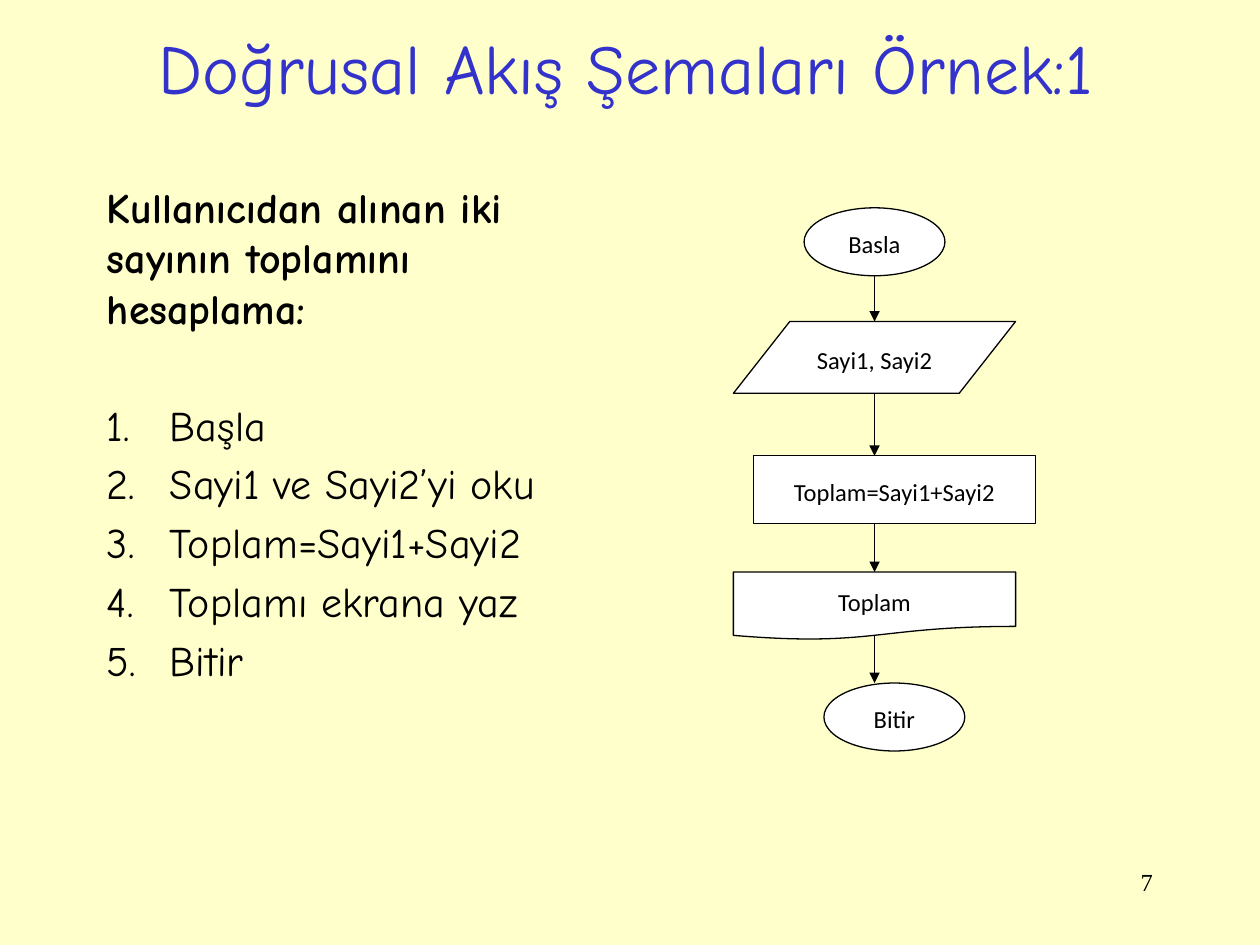
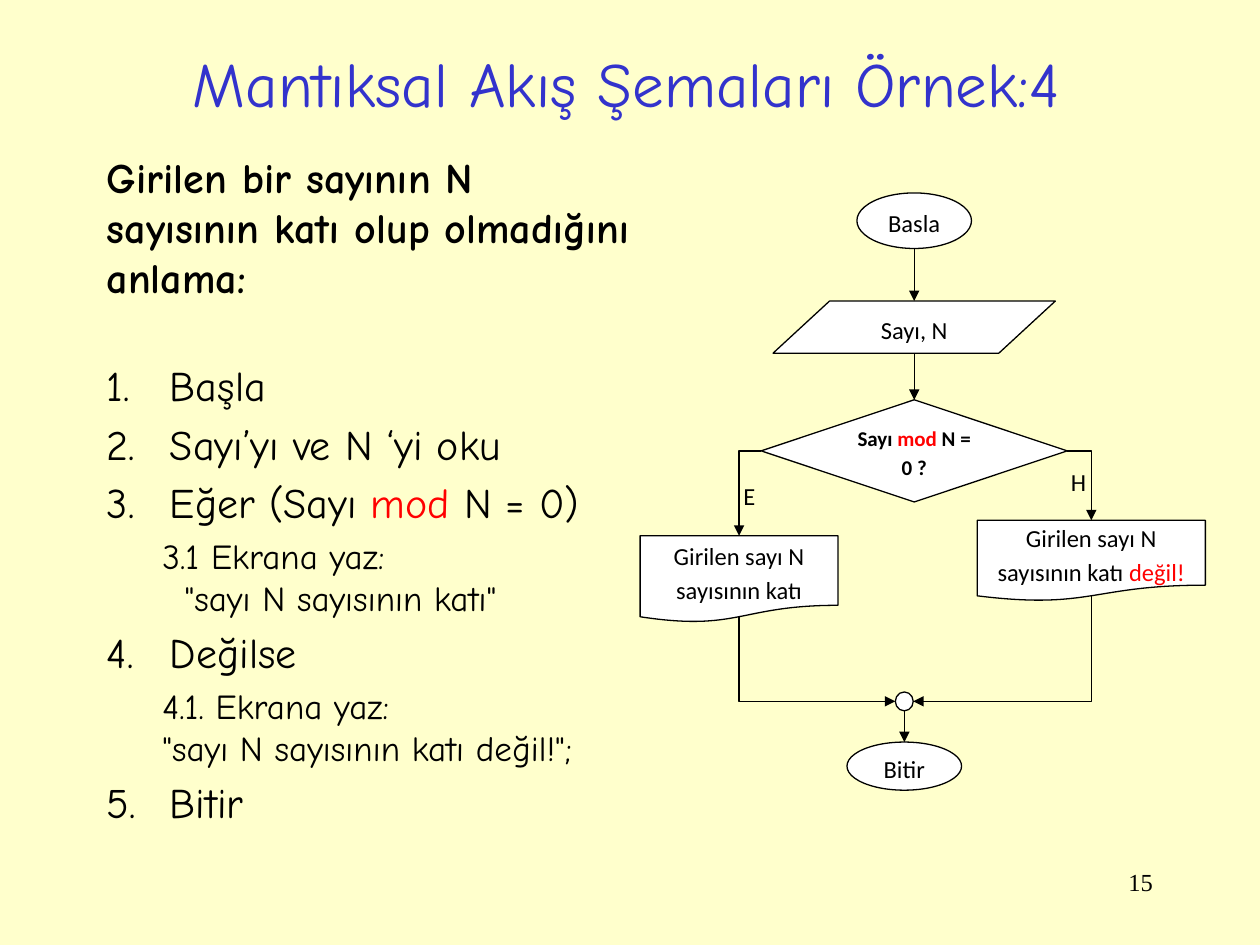
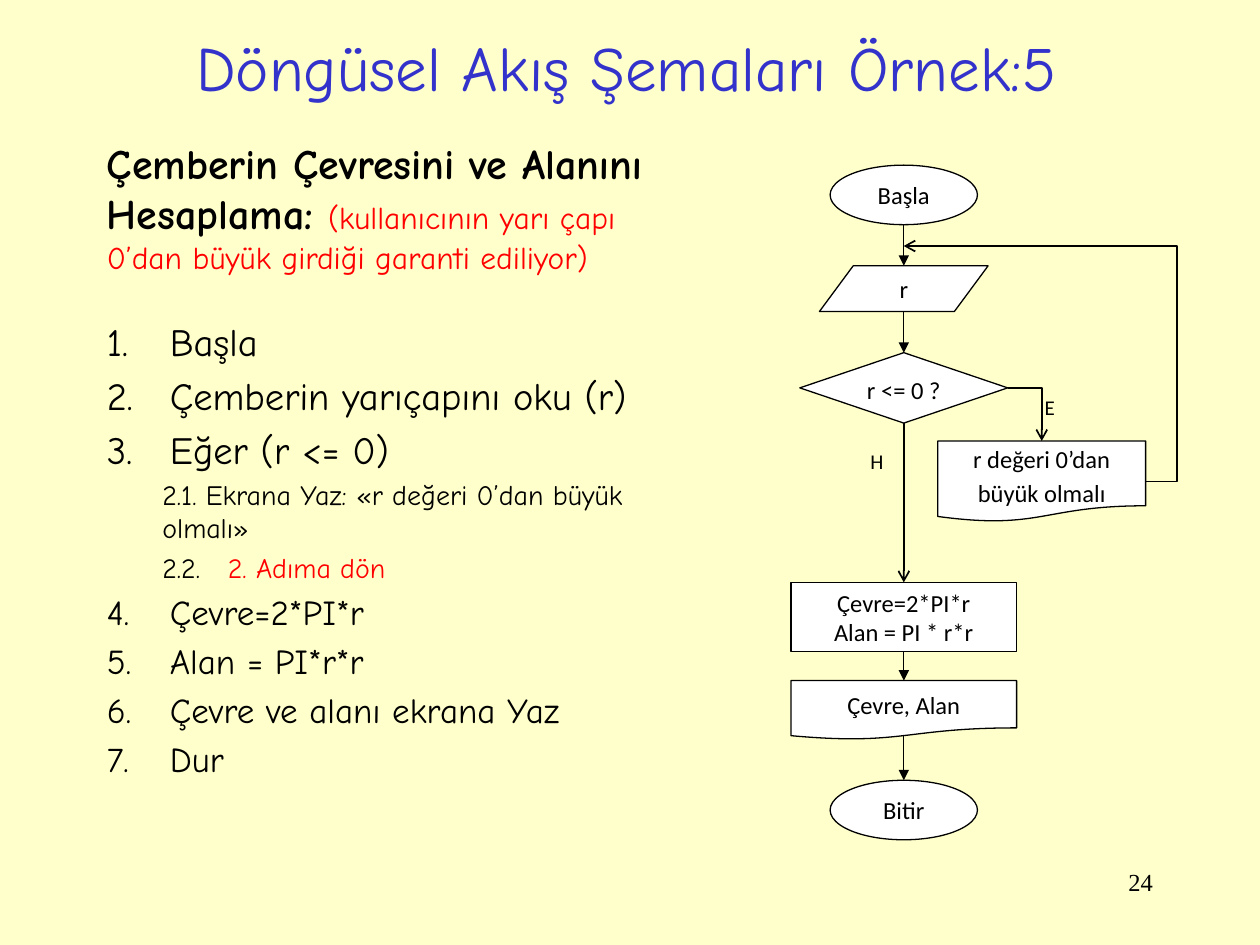
from lxml import etree
from pptx import Presentation
from pptx.dml.color import RGBColor
from pptx.enum.shapes import MSO_CONNECTOR, MSO_SHAPE
from pptx.enum.text import MSO_ANCHOR, MSO_AUTO_SIZE, PP_ALIGN
from pptx.oxml.ns import qn
from pptx.util import Cm, Pt

COLORS = {"paper": "FFFFCC", "title": "3333CC", "ink": "000000",
          "accent": "FF0000", "node": "FFFFFF"}
HAND, PLAIN, SERIF = "Comic Neue", "Calibri", "Times New Roman"

START_END = MSO_SHAPE.FLOWCHART_CONNECTOR
INPUT = MSO_SHAPE.FLOWCHART_DATA
PROCESS = MSO_SHAPE.FLOWCHART_PROCESS
DECISION = MSO_SHAPE.FLOWCHART_DECISION
OUTPUT = MSO_SHAPE.FLOWCHART_DOCUMENT
JOIN = MSO_SHAPE.OVAL
WAVE = Cm(0.1)  # how far a document's wavy edge rises at its middle

# left margin and first-line indent of each kind of list line, in cm
INDENTS = {"head": (0, 0), "step": (1.27, -1.27), "sub": (1.12, 0),
           "more": (1.12, 0), "quote": (1.57, 0), "tabbed": (2.44, -1.32)}


def rgb(name):
    return RGBColor.from_string(COLORS[name])


def write(p, text, size=14, font=PLAIN, color="ink", bold=False, align=None):
    """Append text to a paragraph; words in [brackets] take the accent colour."""
    if align is not None:
        p.alignment = align
    for i, part in enumerate(text.replace("]", "[").split("[")):
        if part:
            r = p.add_run()
            r.text = part
            r.font.size, r.font.name, r.font.bold = Pt(size), font, bold
            r.font.color.rgb = rgb("accent" if i % 2 else color)


def place(sp, box):
    sp.left, sp.top, sp.width, sp.height = (Cm(v) for v in box)


def add_title(slide, text, height=1.93, size=36):
    sp = slide.shapes.title
    place(sp, (1.83, 0.38, 21.59, height))
    tf = sp.text_frame
    tf.auto_size, tf.vertical_anchor = MSO_AUTO_SIZE.NONE, MSO_ANCHOR.MIDDLE
    write(tf.paragraphs[0], text, size, HAND, "title", align=PP_ALIGN.CENTER)


def set_list_style(p, kind):
    margin, indent = INDENTS[kind]
    p.level = 0 if kind in ("head", "step") else 1
    pPr = p._p.get_or_add_pPr()
    pPr.set("marL", str(Cm(margin)))
    pPr.set("indent", str(Cm(indent)))
    if kind == "step":
        etree.SubElement(pPr, qn("a:buFont"), typeface="+mj-lt")
        etree.SubElement(pPr, qn("a:buAutoNum"), type="arabicPeriod")
    else:
        etree.SubElement(pPr, qn("a:buNone"))


def add_algorithm(slide, box, heading, gap, steps, note=""):
    """Heading, then a gap in points, then (kind, size, text) lines."""
    sp = slide.placeholders[1]
    place(sp, box)
    tf = sp.text_frame
    tf.auto_size = MSO_AUTO_SIZE.NONE
    p = tf.paragraphs[0]
    set_list_style(p, "head")
    p.space_before = Pt(0)
    write(p, heading, 24, HAND, bold=True)
    write(p, note, 18, HAND, "accent")
    for i, (kind, size, text) in enumerate(steps):
        p = tf.add_paragraph()
        set_list_style(p, kind)
        if i == 0:
            p.space_before = Pt(gap)
        elif kind in ("more", "quote"):
            p.space_before = Pt(0)
        write(p, text, size, HAND)


def add_page_number(slide, number):
    sp = slide.shapes.add_textbox(Cm(18.21), Cm(17.35), Cm(5.28), Cm(1.27))
    sp.text_frame.word_wrap = True
    write(sp.text_frame.paragraphs[0], str(number), 14, SERIF,
          align=PP_ALIGN.RIGHT)


def fill_centred(tf, text, loose, **fmt):
    """Centre the lines of text; loose adds line spacing and space below."""
    tf.word_wrap, tf.vertical_anchor = True, MSO_ANCHOR.MIDDLE
    for i, line in enumerate(text.split("\n")):
        p = tf.add_paragraph() if i else tf.paragraphs[0]
        if loose:
            p.line_spacing = 1.15
        write(p, line, align=PP_ALIGN.CENTER, **fmt)
    if loose:
        p.space_after = Pt(10)


def mid_x(sp):
    return sp.left + sp.width // 2


def exit_of(sp):
    lift = WAVE if sp.auto_shape_type == OUTPUT else 0
    return mid_x(sp), sp.top + sp.height - lift


def side_of(sp, right):
    return sp.left + (sp.width if right else 0), sp.top + sp.height // 2


class Flow:
    """A flowchart whose parts are placed from the given left and top."""

    def __init__(self, slide, left, top, loose=True):
        self.shapes, self.left, self.top = slide.shapes, left, top
        self.loose = loose

    def spot(self, x, y):
        return Cm(self.left + x), Cm(self.top + y)

    def node(self, kind, cx, y, extent, text="", loose=None, **fmt):
        w, h = extent
        sp = self.shapes.add_shape(kind, *self.spot(cx - w / 2, y), Cm(w), Cm(h))
        sp.shadow.inherit = False
        sp.fill.solid()
        sp.fill.fore_color.rgb = rgb("node")
        sp.line.color.rgb = rgb("ink")
        sp.line.width = Pt(0.75)
        if text:
            fill_centred(sp.text_frame, text,
                         self.loose if loose is None else loose, **fmt)
        return sp

    def label(self, cx, y, text, size=14):
        w, h = 1.68, 0.94
        sp = self.shapes.add_textbox(*self.spot(cx - w / 2, y), Cm(w), Cm(h))
        fill_centred(sp.text_frame, text, True, size=size)

    def link(self, begin, end, preset="line", tip="tailEnd", head="triangle",
             width=0.75, bend=None):
        kind = MSO_CONNECTOR.STRAIGHT if preset == "line" else MSO_CONNECTOR.ELBOW
        c = self.shapes.add_connector(kind, *begin, *end)
        c.line.color.rgb = rgb("ink")
        c.line.width = Pt(width)
        spPr = c._element.spPr
        geom = spPr.find(qn("a:prstGeom"))
        geom.set("prst", preset)
        if bend is not None:
            guides = geom.get_or_add_avLst()
            etree.SubElement(guides, qn("a:gd"), name="adj1",
                             fmla=f"val {round(bend * 100000)}")
        etree.SubElement(spPr.find(qn("a:ln")), qn("a:" + tip), type=head)
        etree.SubElement(spPr, qn("a:effectLst"))

    def drop(self, upper, lower, cx=None, **style):
        """Arrow straight down from one node to the next."""
        x = mid_x(upper) if cx is None else Cm(self.left + cx)
        self.link((x, exit_of(upper)[1]), (x, lower.top), **style)

    def branch(self, begin, lower, **style):
        """Arrow sideways from a point, then down into a node."""
        self.link(begin, (mid_x(lower), lower.top), "bentConnector2", **style)

    def merge(self, upper, end):
        """Arrow down from a node, then sideways to a point."""
        self.link(end, exit_of(upper), "bentConnector2", tip="headEnd")


def draw_sum_flow(slide, left, top):
    flow = Flow(slide, left, top)
    axis, shifted = 2.85, 3.25
    oval, wide = (2.84, 1.37), (5.69, 1.37)
    nodes = [flow.node(START_END, axis, 0, oval, "Basla"),
             flow.node(INPUT, axis, 2.29, (5.69, 1.45), "Sayi1, Sayi2"),
             flow.node(PROCESS, shifted, 5, wide, "Toplam=Sayi1+Sayi2"),
             flow.node(OUTPUT, axis, 7.34, wide, "Toplam"),
             flow.node(START_END, shifted, 9.58, oval, "Bitir")]
    for upper, lower in zip(nodes, nodes[1:]):
        flow.drop(upper, lower, axis)


def draw_multiple_flow(slide, left, top):
    flow = Flow(slide, left, top)
    axis, join_axis = 5.53, 5.33
    start = flow.node(START_END, axis, 0, (2.31, 1.12), "Basla")
    read = flow.node(INPUT, axis, 2.18, (5.69, 1.05), "Sayı, N")
    test = flow.node(DECISION, axis, 4.17, (6.17, 2.06),
                     "Sayı [mod] N =\n0 ?", size=12, bold=True)
    yes = flow.node(OUTPUT, 2, 6.91, (3.99, 1.75),
                    "Girilen sayı N sayısının katı")
    no = flow.node(OUTPUT, 9.1, 6.6, (4.6, 1.63),
                   "Girilen sayı N sayısının katı [değil!]")
    join = flow.node(JOIN, join_axis, 10.06, (0.36, 0.38))
    end = flow.node(START_END, join_axis, 11.07, (2.31, 0.97), "Bitir")
    for upper, lower in ((start, read), (read, test), (join, end)):
        flow.drop(upper, lower)
    for output, right in ((yes, False), (no, True)):
        flow.branch(side_of(test, right), output)
        flow.merge(output, side_of(join, right))
    flow.label(2.21, 5.59, "E")
    flow.label(8.84, 5.31, "H")


def draw_circle_flow(slide, left, top):
    flow = Flow(slide, left, top, loose=False)
    axis = 2.27
    oval = (2.97, 1.2)
    open_arrow = {"head": "arrow", "width": 1}
    start = flow.node(START_END, axis, 0, oval, "Başla")
    read = flow.node(INPUT, axis, 2.03, (3.4, 0.92), "r")
    calc = flow.node(PROCESS, axis, 8.41, (4.55, 1.4),
                     "Çevre=2*PI*r\nAlan = PI * r*r")
    show = flow.node(OUTPUT, axis, 10.39, (4.55, 1.19), "Çevre, Alan")
    end = flow.node(START_END, axis, 12.4, oval, "Bitir")
    test = flow.node(DECISION, axis, 3.78, (4.19, 1.42), "r <= 0 ?", loose=True)
    warn = flow.node(OUTPUT, 5.05, 5.56, (4.19, 1.63),
                     "r değeri 0’dan büyük olmalı", loose=True)
    for upper, lower in ((start, read), (read, test), (calc, show), (show, end)):
        flow.drop(upper, lower)
    flow.drop(test, calc, **open_arrow)
    flow.branch(side_of(test, True), warn, **open_arrow)
    flow.link(side_of(warn, True), flow.spot(axis, 1.63), "bentConnector3",
              bend=-0.13, **open_arrow)
    flow.label(5.21, 4.37, "E", 12)
    flow.label(1.73, 5.46, "H", 12)


def build_sum(slide):
    add_title(slide, "Doğrusal Akış Şemaları Örnek:1", size=40)
    steps = ("Başla", "Sayi1 ve Sayi2’yi oku", "Toplam=Sayi1+Sayi2",
             "Toplamı ekrana yaz", "Bitir")
    add_algorithm(slide, (1.9, 3.53, 10.59, 13.41),
                  "Kullanıcıdan alınan iki sayının toplamını hesaplama:", 38,
                  [("step", 24, text) for text in steps])
    add_page_number(slide, 7)
    draw_sum_flow(slide, 14.78, 4.19)


def build_multiple(slide):
    add_title(slide, "Mantıksal Akış Şemaları Örnek:4", height=2.54)
    add_algorithm(slide, (1.9, 2.92, 11.2, 14.02),
                  "Girilen bir sayının N sayısının katı olup olmadığını anlama:",
                  32.5,
                  [("step", 24, "Başla"),
                   ("step", 24, "Sayı’yı ve N ‘yi oku"),
                   ("step", 24, "Eğer (Sayı [mod] N = 0)"),
                   ("sub", 20, "3.1 Ekrana yaz:"),
                   ("quote", 20, "\"sayı N sayısının katı\""),
                   ("step", 24, "Değilse"),
                   ("sub", 20, "4.1. Ekrana yaz:"),
                   ("more", 20, "\"sayı N sayısının katı değil!\";"),
                   ("step", 24, "Bitir")])
    add_page_number(slide, 15)
    draw_multiple_flow(slide, 12.9, 3.89)


def build_circle(slide):
    add_title(slide, "Döngüsel Akış Şemaları Örnek:5")
    add_algorithm(slide, (1.9, 2.64, 11.79, 15.29),
                  "Çemberin Çevresini ve Alanını Hesaplama: ", 24,
                  [("step", 22, "Başla"),
                   ("step", 22, "Çemberin yarıçapını oku (r)"),
                   ("step", 22, "Eğer (r <= 0)"),
                   ("sub", 16, "2.1. Ekrana Yaz: «r değeri 0’dan büyük olmalı»"),
                   ("tabbed", 16, "2.2.\t[2. Adıma dön]"),
                   ("step", 20, "Çevre=2*PI*r"),
                   ("step", 20, "Alan = PI*r*r"),
                   ("step", 20, "Çevre ve alanı ekrana Yaz"),
                   ("step", 20, "Dur")],
                  note="(kullanıcının yarı çapı 0’dan büyük girdiği garanti ediliyor)")
    add_page_number(slide, 24)
    draw_circle_flow(slide, 15.95, 3.33)


def main():
    prs = Presentation()
    prs.slide_width, prs.slide_height = Cm(25.4), Cm(19.05)
    fill = prs.slide_master.background.fill
    fill.solid()
    fill.fore_color.rgb = rgb("paper")
    for build in (build_sum, build_multiple, build_circle):
        build(prs.slides.add_slide(prs.slide_layouts[1]))
    prs.save("out.pptx")


if __name__ == "__main__":
    main()
